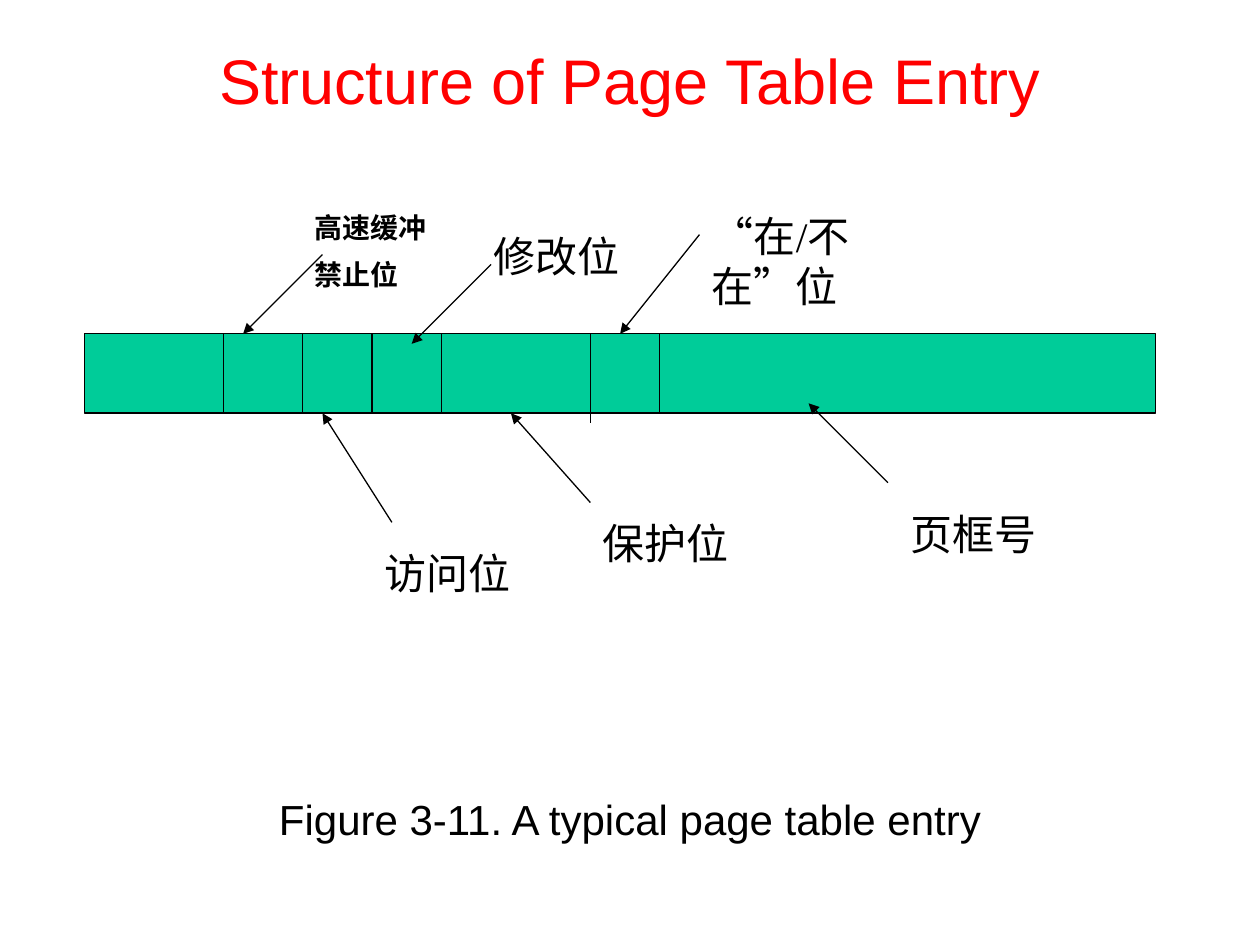
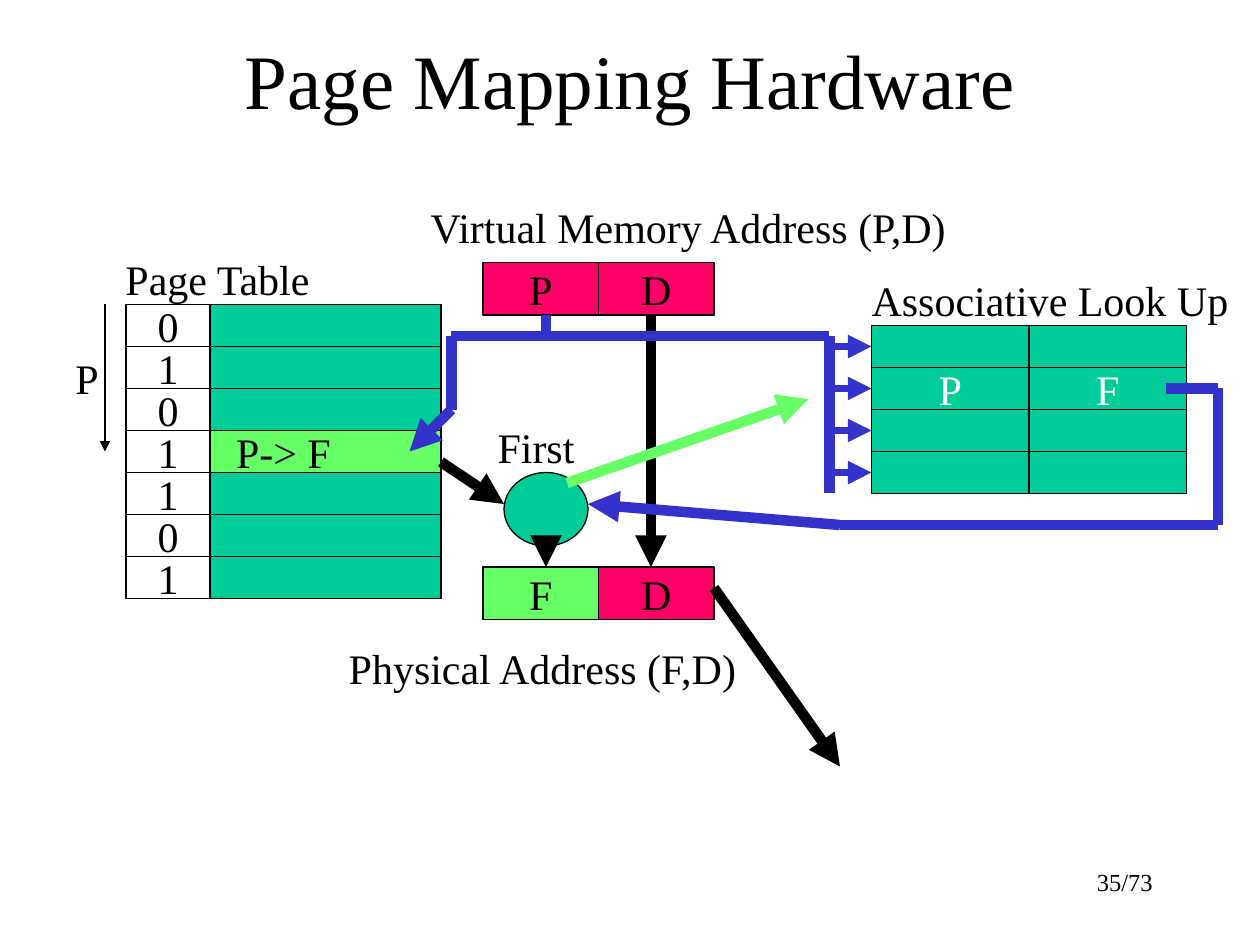
from lxml import etree
from pptx import Presentation
from pptx.dml.color import RGBColor
from pptx.enum.lang import MSO_LANGUAGE_ID
from pptx.enum.shapes import MSO_CONNECTOR, MSO_SHAPE
from pptx.enum.text import MSO_ANCHOR, PP_ALIGN
from pptx.oxml.ns import qn
from pptx.util import Cm, Pt

LEFT, CENTER, RIGHT = PP_ALIGN.LEFT, PP_ALIGN.CENTER, PP_ALIGN.RIGHT
TOP, MIDDLE = MSO_ANCHOR.TOP, MSO_ANCHOR.MIDDLE
RECTANGLE, OVAL = MSO_SHAPE.RECTANGLE, MSO_SHAPE.OVAL
STRAIGHT = MSO_CONNECTOR.STRAIGHT
CHINESE = MSO_LANGUAGE_ID.SIMPLIFIED_CHINESE

BLACK = RGBColor(0x00, 0x00, 0x00)
WHITE = RGBColor(0xFF, 0xFF, 0xFF)
RED = RGBColor(0xFF, 0x00, 0x00)
TEAL = RGBColor(0x00, 0xCC, 0x99)
PINK = RGBColor(0xFF, 0x00, 0x66)
GREEN = RGBColor(0x66, 0xFF, 0x66)
BLUE = RGBColor(0x33, 0x33, 0xCC)

SERIF, SANS = "Times New Roman", "Arial"
THIN, MEDIUM, THICK = 0.75, 4.5, 6
SLIDE_WIDTH, SLIDE_HEIGHT = 25.4, 19.05
TITLE_HEIGHT, LABEL_HEIGHT = 3.18, 1.27
GRID = 2.54 / 12

ENTRY_LEFT, ENTRY_TOP, ENTRY_WIDTH, ENTRY_HEIGHT = 1.7, 6.73, 21.6, 1.6
FIELD_DIVIDERS = [
    (4.5, 1.6), (6.1, 1.6), (7.5, 1.6), (8.9, 1.6), (11.9, 1.8), (13.3, 1.6),
]
FIELDS = [
    (["高速缓冲", "禁止位"], (6.1, 4.11, 2.8), {"size": Pt(16), "bold": True},
     (6.5, 5.13), (4.9, 6.73)),
    (["访问位"], (7.5, 10.92, 3.2), {}, (7.9, 10.53), (6.5, 8.33)),
    (["修改位"], (9.7, 4.52, 4), {}, (9.9, 5.33), (8.3, 6.93)),
    (["保护位"], (11.9, 10.31, 3.4), {}, (11.9, 10.13), (10.3, 8.33)),
    (["“在/不在”位"], (14.1, 4.11, 5.2), {}, (14.1, 4.73), (12.5, 6.73)),
    (["页框号"], (18.1, 10.13, 4.8), {}, (17.9, 9.73), (16.3, 8.13)),
]

ADDRESS_BOXES = [
    ("P", 46, 25, PINK), ("D", 57, 25, PINK),
    ("F", 46, 54, GREEN), ("D", 57, 54, PINK),
]
PAGE_TABLE = [
    ("0", ""), ("1", ""), ("0", ""), ("1", "P-> F"), ("1", ""), ("0", ""), ("1", ""),
]
LOOK_UP = [("", ""), ("P", "F"), ("", ""), ("", "")]
HARDWARE_LABELS = [
    ("Page Table", 2.28, 4.98, 4.29),
    ("Virtual Memory Address (P,D)", 8.43, 3.94, 11.1),
    ("Physical Address (F,D)", 6.78, 12.83, 8.43),
    ("P", 1.27, 6.99, 0.99),
    ("Associative Look Up", 17.32, 5.41, 7.7),
    ("First", 9.78, 8.38, 2.06),
]
BLACK_ARROWS = [
    ((62, 30), (62, 54), THICK), ((42, 44), (48, 48), THICK),
    ((68, 56), (80, 73), THICK), ((10, 29), (10, 43), THIN),
]
BLUE_LINES = [
    ((43, 32), (79, 32)), ((52, 30), (52, 32)), ((43, 32), (43, 39)),
    ((79, 32), (79, 47)), ((111, 37), (116, 37)), ((116, 37), (116, 50)),
    ((116, 50), (80, 50)),
]
BLUE_ARROWS = [((43, 39), (39, 43)), ((80, 50), (56, 48))]


def set_attributes(target, values):
    for name, value in values.items():
        setattr(target, name, value)


def write(shape, lines, align=LEFT, anchor=TOP, wrap=True, color=BLACK, **font):
    font = {"name": SERIF, "size": Pt(24), **font}
    frame = shape.text_frame
    set_attributes(frame, {"word_wrap": wrap, "vertical_anchor": anchor})
    for index, line in enumerate(lines):
        paragraph = frame.add_paragraph() if index else frame.paragraphs[0]
        paragraph.alignment = align
        if index:
            paragraph.space_before = font["size"] // 2
        run = paragraph.add_run()
        run.text = line
        run.font.color.rgb = color
        set_attributes(run.font, font)


def add_text(slide, lines, left, top, width, height=LABEL_HEIGHT, **style):
    box = slide.shapes.add_textbox(Cm(left), Cm(top), Cm(width), Cm(height))
    write(box, lines, **style)


def add_title(slide, text, **style):
    add_text(slide, [text], 0, 0, SLIDE_WIDTH, TITLE_HEIGHT,
             align=CENTER, anchor=MIDDLE, **style)


def add_box(slide, left, top, width, height, fill, text="", kind=RECTANGLE,
            unit=GRID, color=BLACK):
    bounds = [Cm(value * unit) for value in (left, top, width, height)]
    shape = slide.shapes.add_shape(kind, *bounds)
    shape.shadow.inherit = False
    shape.fill.solid()
    shape.fill.fore_color.rgb = fill
    shape.line.color.rgb = BLACK
    shape.line.width = Pt(THIN)
    if text:
        write(shape, [text], CENTER, MIDDLE, False, color)


def add_line(slide, start, end, color=BLACK, width=THIN, arrow=False, unit=GRID):
    points = [Cm(value * unit) for value in (*start, *end)]
    connector = slide.shapes.add_connector(STRAIGHT, *points)
    connector.line.color.rgb = color
    connector.line.width = Pt(width)
    properties = connector.element.spPr
    if arrow:
        etree.SubElement(properties.find(qn("a:ln")), qn("a:tailEnd"), type="triangle")
    etree.SubElement(properties, qn("a:effectLst"))


def build_entry_slide(slide):
    add_text(slide, ["Figure 3-11. A typical page table entry"],
             0, 15.88, SLIDE_WIDTH, 2.34, align=CENTER, name=SANS)
    add_title(slide, "Structure of Page Table Entry", name=SANS, size=Pt(36), color=RED)
    add_box(slide, ENTRY_LEFT, ENTRY_TOP, ENTRY_WIDTH, ENTRY_HEIGHT, TEAL, unit=1)
    for left, height in FIELD_DIVIDERS:
        add_line(slide, (left, ENTRY_TOP), (left, ENTRY_TOP + height), unit=1)
    for lines, place, font, start, end in FIELDS:
        add_line(slide, start, end, arrow=True, unit=1)
        add_text(slide, lines, *place, language_id=CHINESE, **font)


def build_hardware_slide(slide):
    add_text(slide, ["35/73"], 18.2, 17.36, 5.29, align=RIGHT, size=Pt(14))
    add_title(slide, "Page Mapping Hardware", size=Pt(44))
    for text, left, top, fill in ADDRESS_BOXES:
        add_box(slide, left, top, 11, 5, fill, text)
    for row, (bit, entry) in enumerate(PAGE_TABLE):
        top = 29 + 4 * row
        add_box(slide, 12, top, 30, 4, GREEN if entry else TEAL, entry)
        add_box(slide, 12, top, 8, 4, WHITE, bit)
    for row, cells in enumerate(LOOK_UP):
        for column, text in enumerate(cells):
            add_box(slide, 83 + 15 * column, 31 + 4 * row, 15, 4, TEAL, text, color=WHITE)
    for text, *place in HARDWARE_LABELS:
        add_text(slide, [text], *place, wrap=False)
    for start, end, width in BLACK_ARROWS:
        add_line(slide, start, end, BLACK, width, arrow=True)
    for start, end in BLUE_LINES:
        add_line(slide, start, end, BLUE, THICK)
    for start, end in BLUE_ARROWS:
        add_line(slide, start, end, BLUE, THICK, arrow=True)
    for row in range(len(LOOK_UP)):
        middle = 33 + 4 * row
        add_line(slide, (79, middle), (83, middle), BLUE, MEDIUM, arrow=True)
    add_box(slide, 48, 45, 8, 7, TEAL, kind=OVAL)
    add_line(slide, (52, 52), (52, 54), BLACK, THICK, arrow=True)
    add_line(slide, (54, 46), (77, 38), GREEN, THICK, arrow=True)


def main():
    presentation = Presentation()
    set_attributes(presentation, {"slide_width": Cm(SLIDE_WIDTH),
                                  "slide_height": Cm(SLIDE_HEIGHT)})
    for build in (build_entry_slide, build_hardware_slide):
        build(presentation.slides.add_slide(presentation.slide_layouts[6]))
    presentation.save("out.pptx")


if __name__ == "__main__":
    main()
